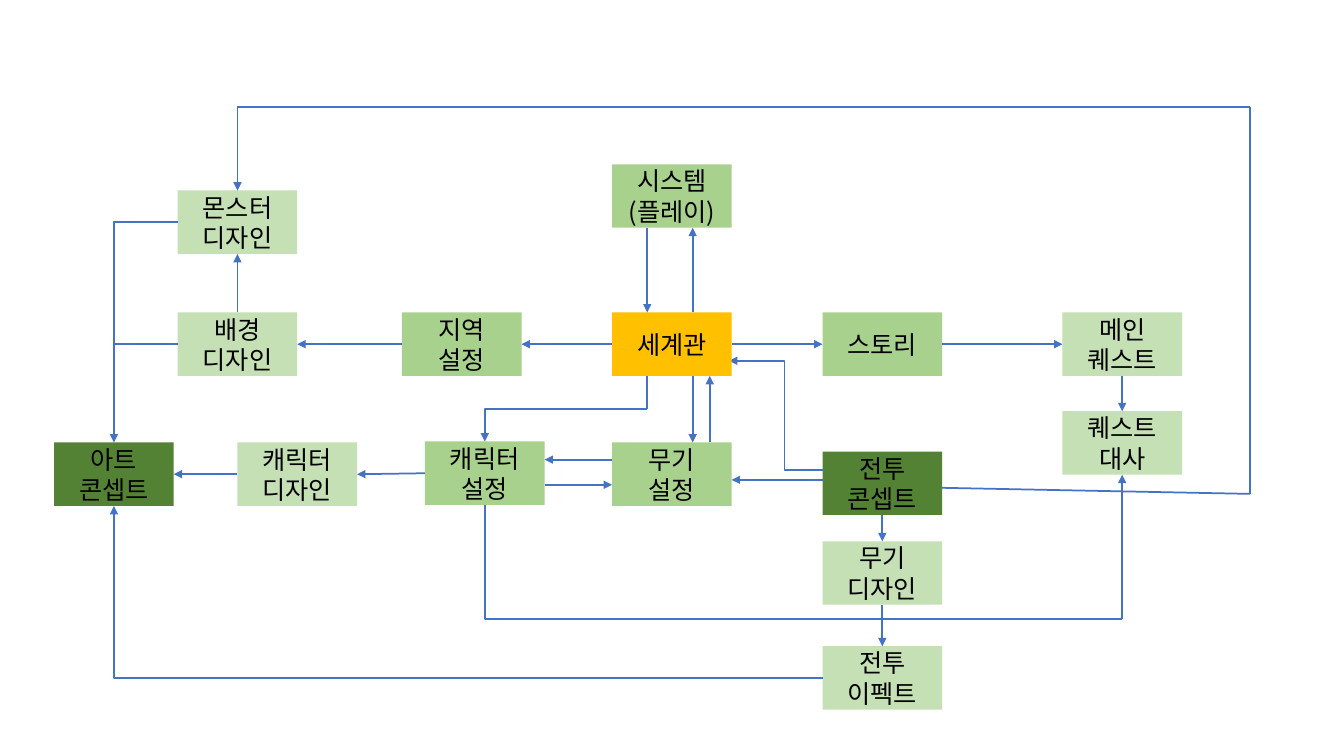
"""Builds a one-slide flow chart of how the parts of a game's world design feed each other."""
import lxml.etree
import pptx
import pptx.dml.color
import pptx.enum.shapes
import pptx.enum.text
import pptx.oxml.ns
import pptx.util

AMBER = pptx.dml.color.RGBColor(0xFF, 0xC0, 0x00)
DARK_GREEN = pptx.dml.color.RGBColor(0x54, 0x82, 0x35)
MID_GREEN = pptx.dml.color.RGBColor(0xA9, 0xD1, 0x8E)
PALE_GREEN = pptx.dml.color.RGBColor(0xC5, 0xE0, 0xB4)
BLUE = pptx.dml.color.RGBColor(0x44, 0x72, 0xC4)
BLACK = pptx.dml.color.RGBColor(0x00, 0x00, 0x00)
TOP, LEFT, BOTTOM, RIGHT = range(4)


class FlowChart:
    """Draws boxes and arrows on one page, with lengths in percent of the page."""

    font_name = "Noto Sans CJK KR"
    font_size = pptx.util.Pt(18)
    line_width = pptx.util.Pt(1.25)
    box_width, box_height = 8.9, 8.4

    def __init__(self, deck):
        self.deck = deck
        self.page = deck.slides.add_slide(deck.slide_layouts[6])

    def place(self, across, down):
        return (round(self.deck.slide_width * across / 100),
                round(self.deck.slide_height * down / 100))

    def box(self, text, left, top, fill):
        box = self.page.shapes.add_shape(
            pptx.enum.shapes.MSO_SHAPE.RECTANGLE,
            *self.place(left, top), *self.place(self.box_width, self.box_height))
        box.shadow.inherit = False
        box.fill.solid()
        box.fill.fore_color.rgb = fill
        box.line.fill.background()
        frame = box.text_frame
        frame.text = text
        frame.word_wrap = True
        frame.vertical_anchor = pptx.enum.text.MSO_ANCHOR.MIDDLE
        for para in frame.paragraphs:
            para.alignment = pptx.enum.text.PP_ALIGN.CENTER
            para.font.size = self.font_size
            para.font.color.rgb = BLACK
            para.font.name = self.font_name
            for latin in para._p.xpath("./a:pPr/a:defRPr/a:latin"):
                east_asian = lxml.etree.Element(
                    pptx.oxml.ns.qn("a:ea"), typeface=self.font_name)
                latin.addnext(east_asian)
        return box

    def line(self, begin, end, arrow=True, kind="STRAIGHT"):
        connector = self.page.shapes.add_connector(
            pptx.enum.shapes.MSO_CONNECTOR[kind],
            *self.end_place(begin), *self.end_place(end))
        for target, connect in ((begin, connector.begin_connect),
                                (end, connector.end_connect)):
            if not isinstance(target[0], (int, float)):
                connect(*target)
        connector.line.color.rgb = BLUE
        connector.line.width = self.line_width
        if arrow:
            lxml.etree.SubElement(connector.line._get_or_add_ln(),
                                  pptx.oxml.ns.qn("a:tailEnd"), type="triangle")
        lxml.etree.SubElement(connector._element.spPr, pptx.oxml.ns.qn("a:effectLst"))
        return connector

    def end_place(self, target):
        return self.place(0, 0) if not isinstance(target[0], (int, float)) else self.place(*target)

    def leftward_elbow(self, begin, end, arrow=True, preset="bentConnector2"):
        connector = self.line(begin, end, arrow, "ELBOW")
        goes_down = connector.end_y > connector.begin_y
        properties = connector._element.spPr
        properties.find(pptx.oxml.ns.qn("a:prstGeom")).set("prst", preset)
        frame = properties.find(pptx.oxml.ns.qn("a:xfrm"))
        for flip in ("flipH", "flipV"):
            frame.attrib.pop(flip, None)
        frame.set("rot", "10800000")
        if goes_down:
            frame.set("flipV", "1")


deck = pptx.Presentation()
deck.slide_width = pptx.util.Inches(13.33)
deck.slide_height = pptx.util.Inches(7.5)
chart = FlowChart(deck)

chart.leftward_elbow((62.49, 62.13), (54.24, 47.73), preset="bentConnector3")

MIDDLE, UPPER, LOWER = 45.54, 41.33, 58.53
BATTLE, QUEST, SCENERY = 61.2, 79.05, 13.22
world = chart.box("세계관", MIDDLE, UPPER, AMBER)
system = chart.box("시스템\n(플레이)", MIDDLE, 21.73, MID_GREEN)
story = chart.box("스토리", BATTLE, UPPER, MID_GREEN)
main_quest = chart.box("메인\n퀘스트", QUEST, UPPER, PALE_GREEN)
quest_lines = chart.box("퀘스트\n대사", QUEST, 54.4, PALE_GREEN)
weapon = chart.box("무기\n설정", MIDDLE, LOWER, MID_GREEN)
battle = chart.box("전투\n콘셉트", BATTLE, 59.73, DARK_GREEN)
weapon_design = chart.box("무기\n디자인", BATTLE, 71.6, PALE_GREEN)
battle_effect = chart.box("전투\n이펙트", BATTLE, 85.47, PALE_GREEN)
character = chart.box("캐릭터\n설정", 31.62, 58.4, MID_GREEN)
character_design = chart.box("캐릭터\n디자인", 17.67, LOWER, PALE_GREEN)
art = chart.box("아트\n콘셉트", 4.03, LOWER, DARK_GREEN)
region = chart.box("지역\n설정", 29.91, UPPER, MID_GREEN)
background = chart.box("배경\n디자인", SCENERY, UPPER, PALE_GREEN)
monster = chart.box("몬스터\n디자인", SCENERY, 25.2, PALE_GREEN)

for source, source_side, target, target_side in (
        (world, RIGHT, story, LEFT),
        (story, RIGHT, main_quest, LEFT),
        (main_quest, BOTTOM, quest_lines, TOP),
        (battle, BOTTOM, weapon_design, TOP),
        (weapon_design, BOTTOM, battle_effect, TOP),
        (character, LEFT, character_design, RIGHT),
        (character_design, LEFT, art, RIGHT),
        (world, LEFT, region, RIGHT),
        (region, LEFT, background, RIGHT),
        (background, TOP, monster, BOTTOM)):
    chart.line((source, source_side), (target, target_side))

WORLD_BOTTOM = UPPER + chart.box_height
SYSTEM_BOTTOM = 21.73 + chart.box_height
WEAPON_RIGHT = MIDDLE + chart.box_width
CHARACTER_RIGHT = 31.62 + chart.box_width
DOWN_LANE, UP_LANE, WEAPON_LANE = 48.16, 51.54, 52.81
for begin, end in (
        ((UP_LANE, UPPER), (UP_LANE, SYSTEM_BOTTOM)),
        ((DOWN_LANE, SYSTEM_BOTTOM), (DOWN_LANE, UPPER)),
        ((UP_LANE, WORLD_BOTTOM), (UP_LANE, LOWER)),
        ((WEAPON_LANE, LOWER), (WEAPON_LANE, WORLD_BOTTOM)),
        ((BATTLE, 63.47), (WEAPON_RIGHT, 63.47)),
        ((MIDDLE, 60.8), (CHARACTER_RIGHT, 60.8)),
        ((CHARACTER_RIGHT, 64.13), (MIDDLE, 64.13))):
    chart.line(begin, end)

quest_corner = (83.5, 81.87)
chart.leftward_elbow(quest_corner, (character, BOTTOM), arrow=False)
chart.line(quest_corner, (quest_lines, BOTTOM))
chart.leftward_elbow((battle_effect, LEFT), (art, BOTTOM))

outer_bottom, outer_top = (93.02, 65.33), (93.02, 14.13)
chart.line((BATTLE + chart.box_width, 64.53), outer_bottom, arrow=False)
chart.line(outer_bottom, outer_top, arrow=False)
chart.leftward_elbow(outer_top, (monster, TOP))
chart.leftward_elbow((monster, LEFT), (art, TOP))
chart.line((background, LEFT), (8.48, 45.53), arrow=False)

character_bend = (DOWN_LANE, 54.13)
chart.line((DOWN_LANE, WORLD_BOTTOM), character_bend, arrow=False)
chart.leftward_elbow(character_bend, (character, TOP))

deck.save("out.pptx")
